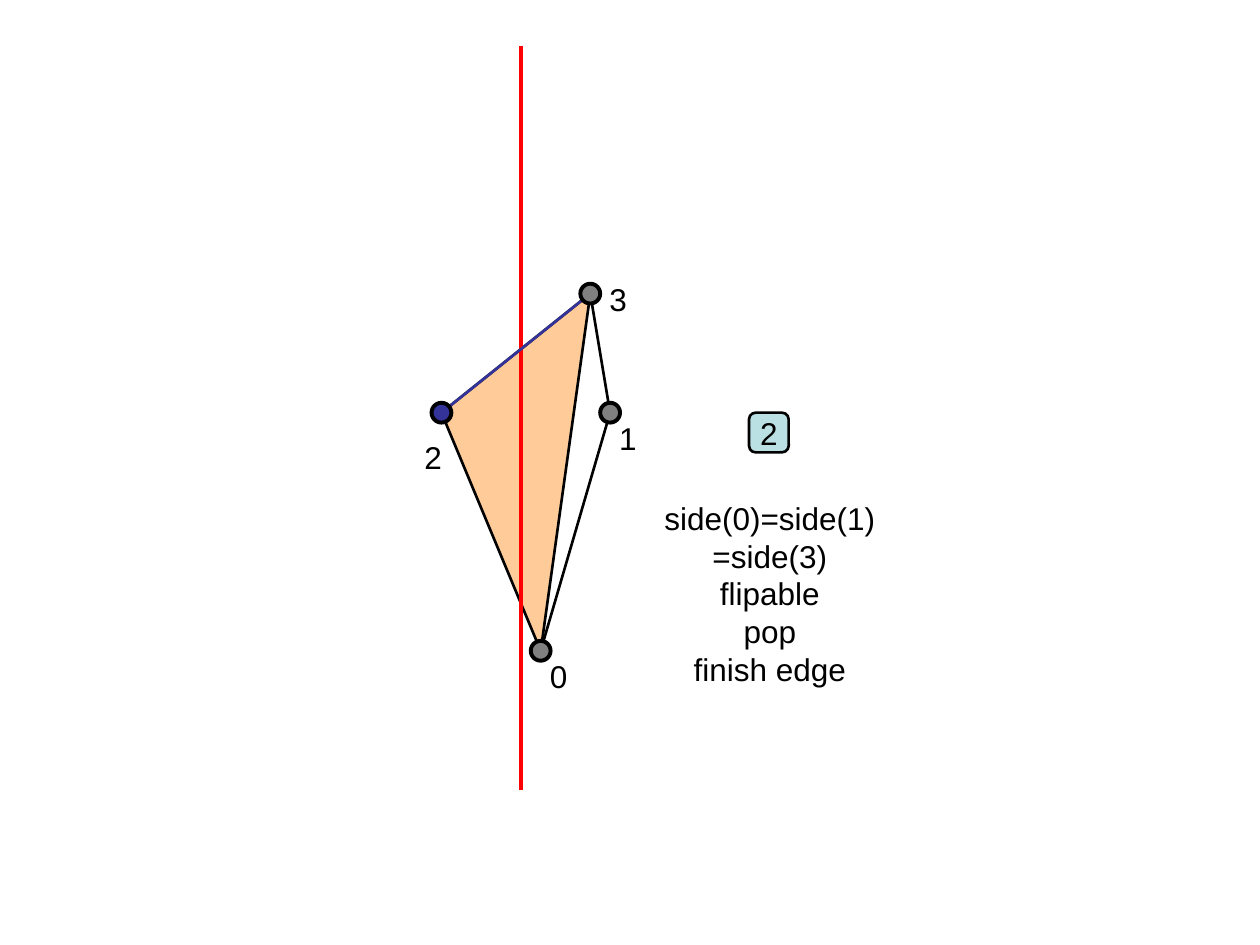
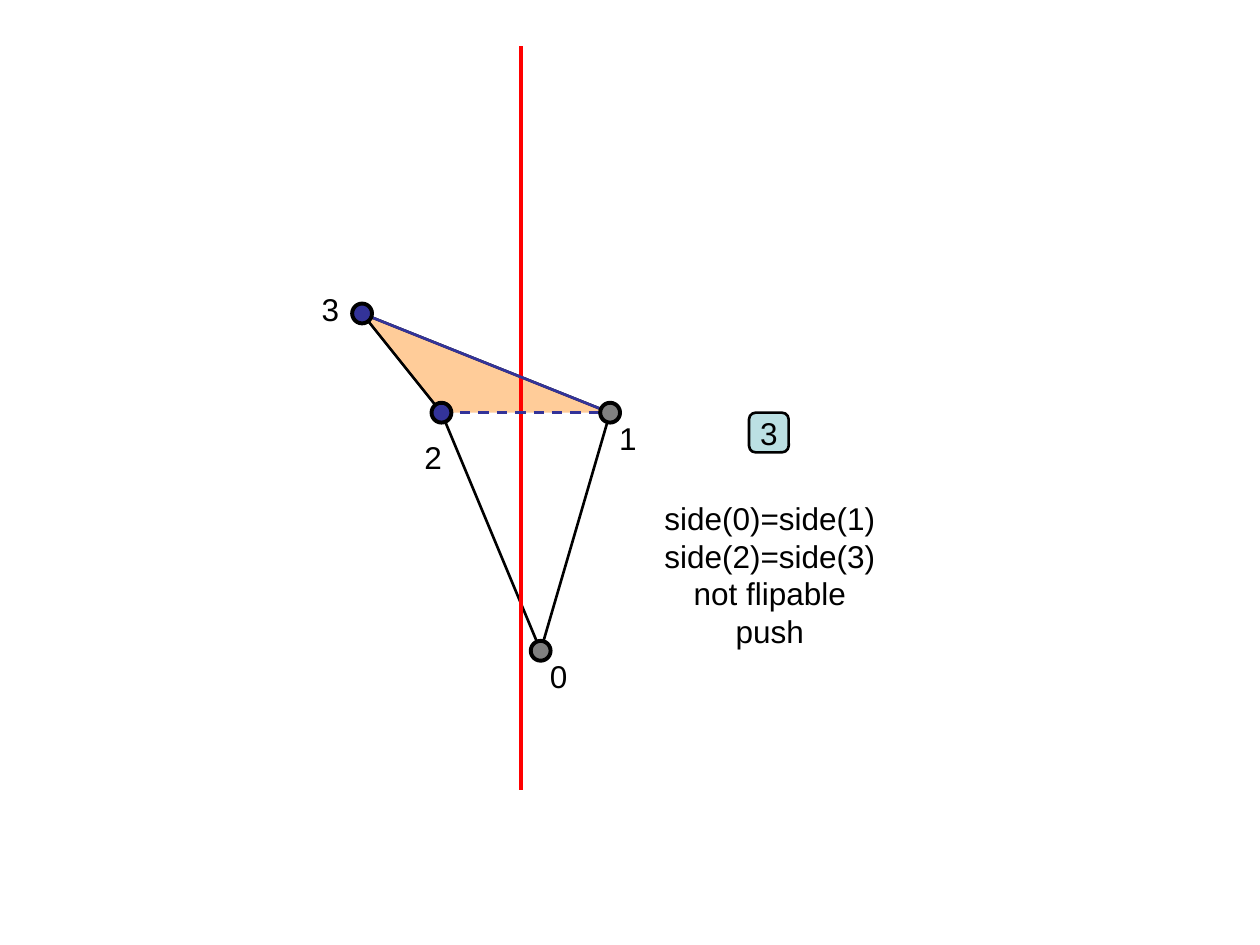
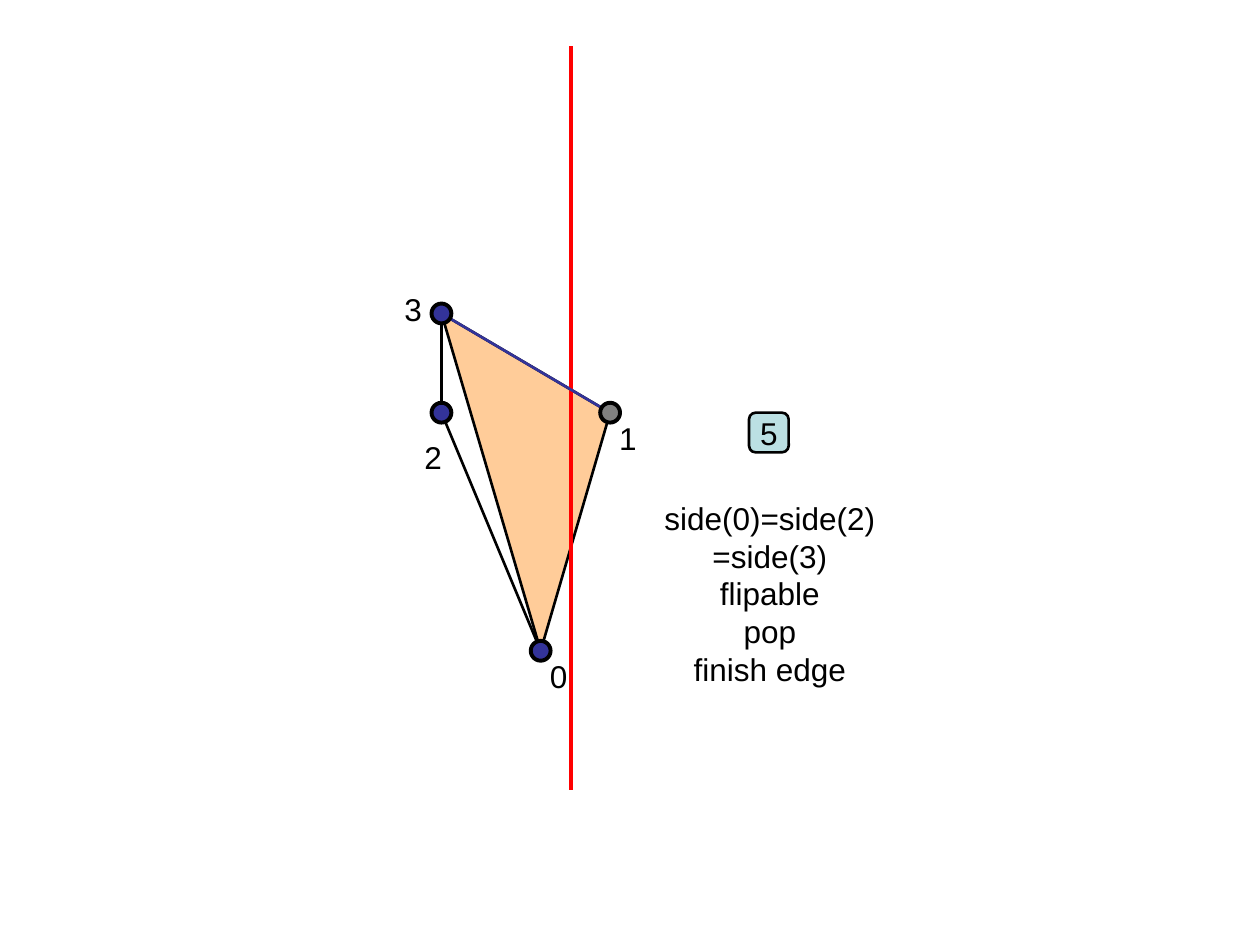
from pptx import Presentation
from pptx.dml.color import RGBColor
from pptx.enum import dml, shapes, text
from pptx.oxml.ns import qn
from pptx.util import Cm, Pt
from lxml import etree

BLACK, GREY, BLUE, RED = "000000", "808080", "333399", "FF0000"
PEACH, AQUA = "FFCC99", "BBE0E3"
FONT = "Arial"

# Vertices and label offsets in cm; vertex 3 differs from case to case.
VERTICES = {0: (10.9, 13.12), 1: (12.3, 8.32), 2: (8.9, 8.32)}
LABEL_OFFSETS = {0: (-0.07, 0.01), 1: (-0.07, 0.01), 2: (-0.6, 0.39)}
LABEL_SIZE = (0.86, 1.02)
SWEEP_TOP, SWEEP_BOTTOM = 0.93, 15.93
DOT = 0.4
BADGE_LEFT, BADGE_TOP, BADGE = 15.1, 8.32, 0.8
STEPS_LEFT, STEPS_TOP, STEPS_WIDTH = 13.1, 9.93, 4.84
LINE_HEIGHT, INSET = 0.76, 0.25

# In steps, "\v" breaks a line and "\n" starts a paragraph.
CASES = [
    dict(number="2", sweep=10.5, vertex3=(11.9, 5.92), label3=(0.13, -0.39),
         diagonal=(0, 3), front=(2, 3), flipable=True,
         steps="side(0)=side(1)\v=side(3)\vflipable\npop\vfinish edge"),
    dict(number="3", sweep=10.5, vertex3=(7.3, 6.32), label3=(-1.07, -0.59),
         diagonal=(2, 1), front=(3, 1), flipable=False,
         steps="side(0)=side(1)\vside(2)=side(3)\vnot flipable\npush"),
    dict(number="5", sweep=11.51, vertex3=(8.9, 6.32), label3=(-1.0, -0.59),
         diagonal=(3, 0), front=(3, 1), flipable=True,
         steps="side(0)=side(2)\v=side(3)\vflipable\vpop\vfinish edge"),
]


def color(value):
    return RGBColor.from_string(value)


def paint(shape, fill=None, line=None, width=1.5):
    shape.shadow.inherit = False
    if fill:
        shape.fill.solid()
        shape.fill.fore_color.rgb = color(fill)
    else:
        shape.fill.background()
    if line:
        shape.line.color.rgb = color(line)
        shape.line.width = Pt(width)
    else:
        shape.line.fill.background()


def add_polygon(page, points, **style):
    corners = [(Cm(x), Cm(y)) for x, y in points]
    builder = page.shapes.build_freeform(*corners[0], scale=1.0)
    builder.add_line_segments(corners[1:], close=True)
    paint(builder.convert_to_shape(), **style)


def add_line(page, start, end, line, width=1.5, dashed=False):
    connector = page.shapes.add_connector(
        shapes.MSO_CONNECTOR.STRAIGHT, *map(Cm, start + end))
    connector.line.color.rgb = color(line)
    connector.line.width = Pt(width)
    if dashed:
        connector.line.dash_style = dml.MSO_LINE.DASH
    etree.SubElement(connector._element.spPr, qn("a:effectLst"))


def write(shape, words):
    """Put centred, unwrapped text into a shape."""
    frame = shape.text_frame
    frame.word_wrap = False
    frame.text = words
    for paragraph in frame.paragraphs:
        paragraph.alignment = text.PP_ALIGN.CENTER
        paragraph.font.name = FONT
        paragraph.font.size = Pt(18)
        paragraph.font.color.rgb = color(BLACK)


def add_text(page, words, left, top, width, height):
    box = page.shapes.add_textbox(*map(Cm, (left, top, width, height)))
    write(box, words)
    box.text_frame.auto_size = text.MSO_AUTO_SIZE.SHAPE_TO_FIT_TEXT


def add_mesh(page, case):
    vertices = {**VERTICES, 3: case["vertex3"]}
    offsets = {**LABEL_OFFSETS, 3: case["label3"]}
    sweep = case["sweep"]
    start, end = (vertices[i] for i in case["diagonal"])
    triangle = sorted(set(case["diagonal"] + case["front"]))

    add_polygon(page, [vertices[i] for i in triangle], fill=PEACH)
    add_polygon(page, [vertices[i] for i in (0, 1, 3, 2)], line=BLACK)
    add_line(page, (sweep, SWEEP_TOP), (sweep, SWEEP_BOTTOM), RED, 2.25)
    flipable = case["flipable"]
    add_line(page, start, end, BLACK if flipable else BLUE, dashed=not flipable)
    add_line(page, *(vertices[i] for i in case["front"]), BLUE)

    for name, (x, y) in vertices.items():
        dot = page.shapes.add_shape(
            shapes.MSO_SHAPE.OVAL, Cm(x - DOT / 2), Cm(y - DOT / 2), Cm(DOT), Cm(DOT))
        paint(dot, GREY if x > sweep else BLUE, BLACK, 2.25)
        dx, dy = offsets[name]
        add_text(page, str(name), x + dx, y + dy, *LABEL_SIZE)


def add_explanation(page, case):
    steps = case["steps"]
    lines = 1 + steps.count("\v") + steps.count("\n")
    add_text(page, steps, STEPS_LEFT, STEPS_TOP, STEPS_WIDTH,
             lines * LINE_HEIGHT + INSET)

    badge = page.shapes.add_shape(
        shapes.MSO_SHAPE.ROUNDED_RECTANGLE,
        *map(Cm, (BADGE_LEFT, BADGE_TOP, BADGE, BADGE)))
    paint(badge, AQUA, BLACK)
    write(badge, case["number"])
    badge.text_frame.vertical_anchor = text.MSO_ANCHOR.MIDDLE


def main():
    deck = Presentation()
    deck.slide_width, deck.slide_height = Cm(25.4), Cm(19.05)
    for case in CASES:
        page = deck.slides.add_slide(deck.slide_layouts[6])
        add_mesh(page, case)
        add_explanation(page, case)
    deck.save("out.pptx")


if __name__ == "__main__":
    main()
